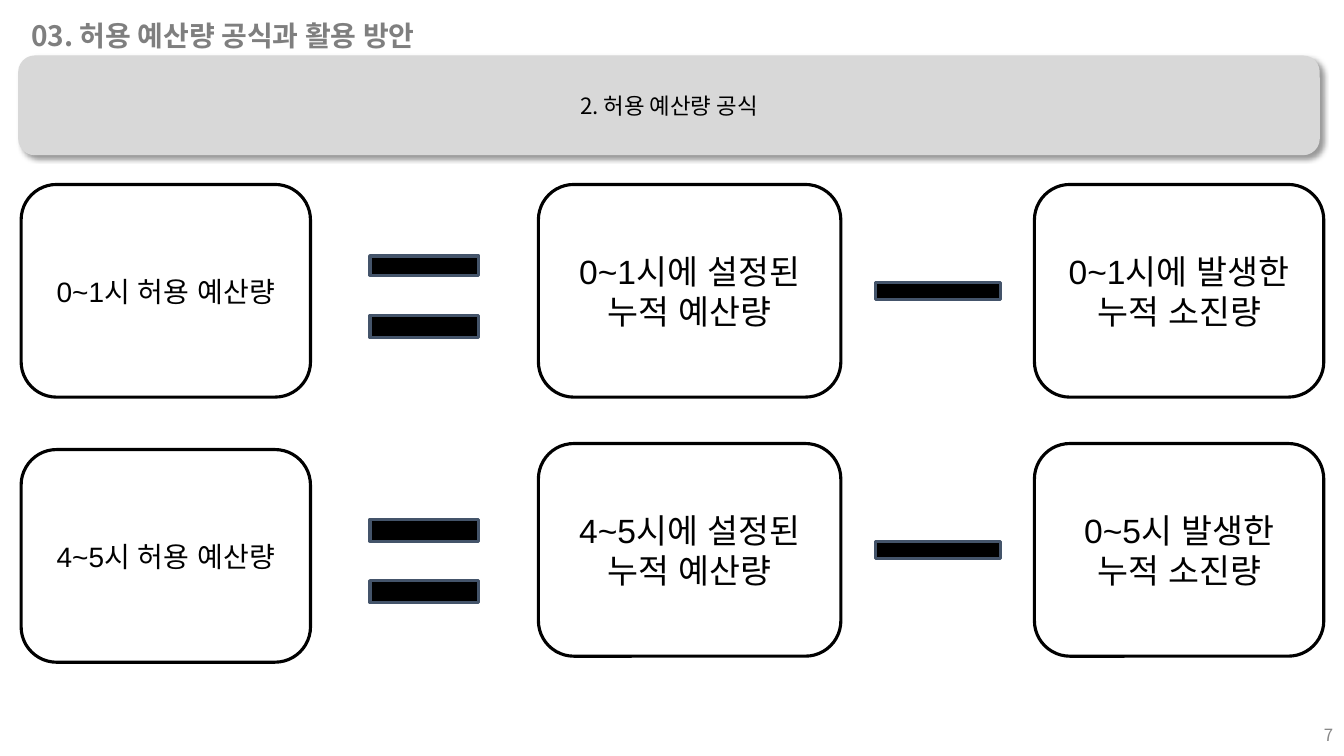
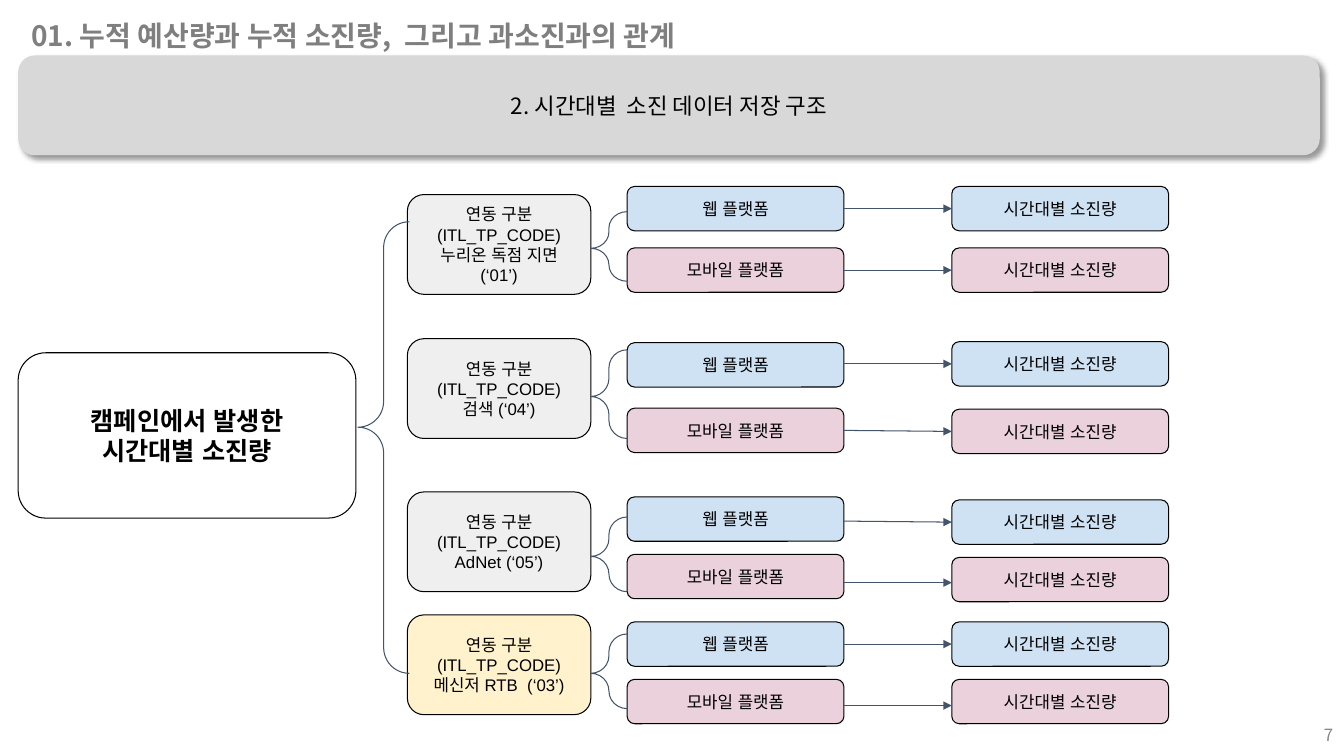
"""Build two slides on allowed budget formulas and hourly spend storage."""
from lxml import etree
from pptx import Presentation
from pptx import util as u
from pptx.dml.color import RGBColor
from pptx.enum import shapes, text
from pptx.oxml import parse_xml
from pptx.oxml.ns import nsdecls, qn

COLORS = {
    "black": "000000", "white": "FFFFFF", "band": "D8D8D8", "title": "7F7F7F",
    "number": "888888", "slate": "44546A", "gray": "EFEFEF", "yellow": "FFF2CC",
    "web": "CFE2F3", "mobile": "EAD1DC",
}
KOREAN_FONT = "Noto Sans CJK KR"
ALIGN = text.PP_ALIGN
KIND = shapes.MSO_SHAPE


def write(box, lines, size, font="Arial", color="black", bold=False, align=ALIGN.CENTER, inset=0.1):
    frame = box.text_frame
    frame.word_wrap = True
    frame.vertical_anchor = text.MSO_ANCHOR.MIDDLE
    frame.margin_left = frame.margin_right = u.Inches(0.1)
    frame.margin_top = frame.margin_bottom = u.Inches(inset)
    frame.text = lines
    for para in frame.paragraphs:
        para.alignment = align
        for span in para.runs:
            span.font.name = font
            span.font.size = u.Pt(size)
            span.font.bold = bold
            span.font.color.rgb = RGBColor.from_string(COLORS[color])
            etree.SubElement(span.font._element, qn("a:ea"), typeface=font)


def add_box(page, place, kind=KIND.FLOWCHART_ALTERNATE_PROCESS, fill=None, line="black", width=0.75):
    box = page.shapes.add_shape(kind, *map(u.Inches, place))
    box.shadow.inherit = False
    if fill:
        box.fill.solid()
        box.fill.fore_color.rgb = RGBColor.from_string(COLORS[fill])
    else:
        box.fill.background()
    if line:
        box.line.color.rgb = RGBColor.from_string(COLORS[line])
        box.line.width = u.Pt(width)
    else:
        box.line.fill.background()
    return box


deck = Presentation()
deck.slide_width = u.Inches(13.33)
deck.slide_height = u.Inches(7.5)

headings = [
    ("03. 허용 예산량 공식과 활용 방안", "2. 허용 예산량 공식"),
    ("01. 누적 예산량과 누적 소진량,  그리고 과소진과의 관계", "2. 시간대별  소진 데이터 저장 구조"),
]
pages = []
for title, subtitle in headings:
    page = deck.slides.add_slide(deck.slide_layouts[6])
    pages.append(page)
    band = add_box(page, (0.18, 0.55, 12.91, 0.99), KIND.ROUNDED_RECTANGLE, "band", None)
    band.adjustments[0] = 0.167
    band._element.spPr.find(qn("a:effectLst")).append(parse_xml(
        f'<a:outerShdw {nsdecls("a")} blurRad="{u.Pt(4)}" dist="{u.Pt(3)}" dir="2700000" '
        f'algn="tl" rotWithShape="0"><a:srgbClr val="{COLORS["black"]}">'
        '<a:alpha val="40000"/></a:srgbClr></a:outerShdw>'))
    write(band, subtitle, 16, KOREAN_FONT, inset=0.05)
    title_box = page.shapes.add_textbox(*map(u.Inches, (0.21, 0.13, 9.37, 0.44)))
    write(title_box, title, 20, KOREAN_FONT, "title", True, ALIGN.LEFT, 0.05)
    number_box = page.shapes.add_textbox(*map(u.Inches, (10.32, 7.09, 3, 0.4)))
    write(number_box, "7", 12, KOREAN_FONT, "number", align=ALIGN.RIGHT, inset=0.05)

formula_page, storage_page = pages

formulas = [
    (1.83, 1.83, ((2.54, 0.19), (3.13, 0.22)),
     "0~1시 허용 예산량", "0~1시에 설정된 누적 예산량", "0~1시에 발생한 누적 소진량"),
    (4.46, 4.4, ((5.15, 0.22), (5.76, 0.22)),
     "4~5시 허용 예산량", "4~5시에 설정된 누적 예산량", "0~5시 발생한 누적 소진량"),
]
for result_top, term_top, equal_bars, allowed, budget, spent in formulas:
    terms = [
        (0.21, result_top, 2.87, allowed, 20),
        (5.34, term_top, 3, budget, 24),
        (10.26, term_top, 2.87, spent, 24),
    ]
    for left, top, width, label, size in terms:
        term = add_box(formula_page, (left, top, width, 2.11), fill="white", width=2.25)
        write(term, label, size)
    signs = [(3.67, top, 1.08, height) for top, height in equal_bars]
    signs.append((8.68, term_top + 0.97, 1.24, 0.17))
    for place in signs:
        add_box(formula_page, place, KIND.RECTANGLE, "black", "slate", 2.25)

campaign = add_box(storage_page, (0.18, 3.5, 3.35, 1.64))
write(campaign, "캠페인에서 발생한\n시간대별 소진량", 18, bold=True)

sources = [
    ("누리온 독점 지면 (‘01’)", "gray", 1.93, (2.1, 0.69),
     ((1.85, 1.85, 2.07, 2.07), (2.46, 2.46, 2.68, 2.68))),
    ("검색 (‘04’)", "gray", 3.36, (3.47, 0.88),
     ((3.4, 3.39, 3.61, 3.61), (4.05, 4.06, 4.27, 4.28))),
    ("AdNet (‘05’)", "gray", 4.88, (5.13, 0.74),
     ((4.93, 4.96, 5.17, 5.18), (5.5, 5.53, 5.78, 5.78))),
    ("메신저 RTB  (‘03’)", "yellow", 6.1, (6.29, 0.74),
     ((6.17, 6.17, 6.39, 6.39), (6.74, 6.74, 7, 7))),
]
platforms = [("웹 플랫폼", "web"), ("모바일 플랫폼", "mobile")]
braces = [(3.55, 2.2, 0.51, 4.48, 0.455)]
for name, fill, source_top, (brace_top, brace_height), rows in sources:
    source = add_box(storage_page, (4.04, source_top, 1.82, 0.99), fill=fill)
    write(source, f"연동 구분 (ITL_TP_CODE)\n{name}", 12)
    braces.append((5.86, brace_top, 0.36, brace_height, 0.527))
    for (platform, color), (platform_top, spend_top, start, end) in zip(platforms, rows):
        for left, top, label in ((6.22, platform_top, platform), (9.44, spend_top, "시간대별 소진량")):
            write(add_box(storage_page, (left, top, 2.15, 0.44), fill=color), label, 12)
        arrow = storage_page.shapes.add_connector(
            shapes.MSO_CONNECTOR.STRAIGHT, *map(u.Inches, (8.37, start, 9.44, end)))
        arrow.line.color.rgb = RGBColor.from_string(COLORS["slate"])
        arrow.line.width = u.Pt(0.75)
        etree.SubElement(arrow.line._get_or_add_ln(), qn("a:tailEnd"), type="triangle")
        etree.SubElement(arrow._element.spPr, qn("a:effectLst"))

for *place, point in braces:
    brace = add_box(storage_page, place, KIND.LEFT_BRACE, line="slate")
    brace.adjustments[0] = 0.5
    brace.adjustments[1] = point

deck.save("out.pptx")
